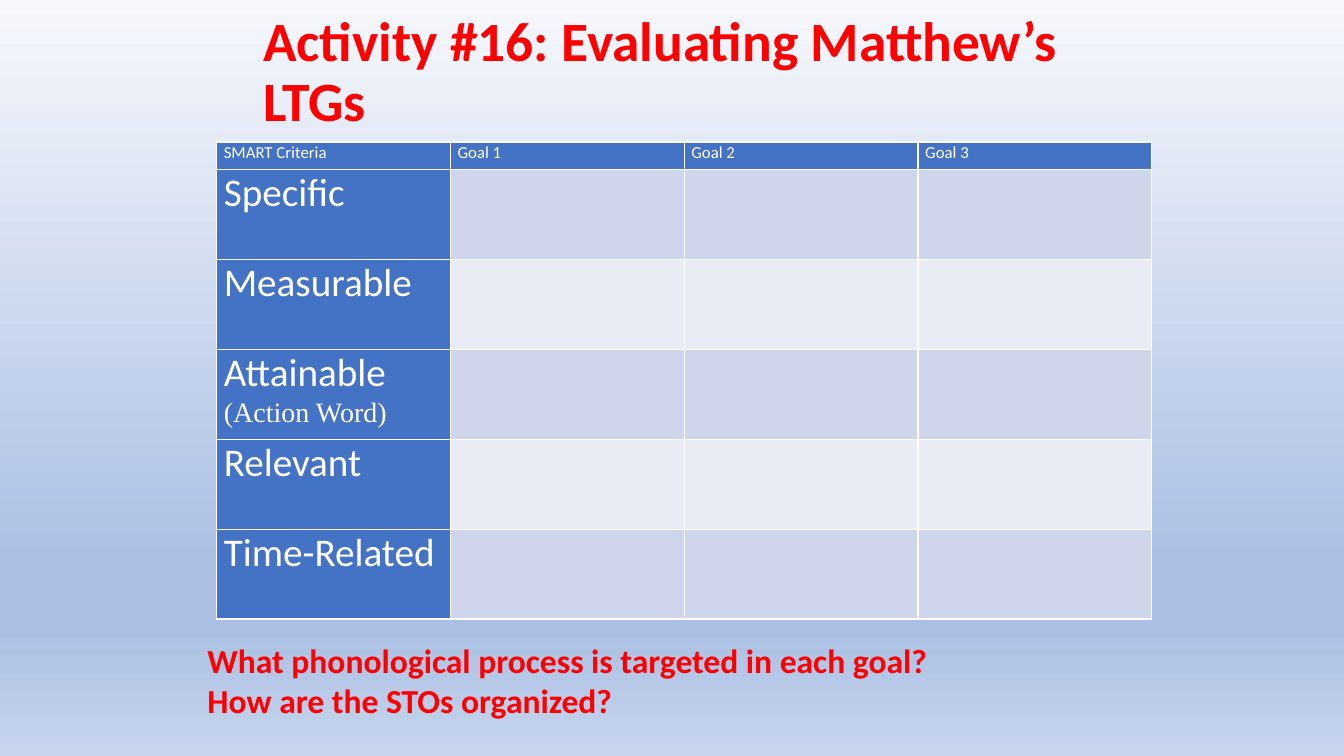
import copy

import lxml.etree
import pptx
import pptx.dml.color
import pptx.enum.text
import pptx.oxml.ns
import pptx.util

Cm = pptx.util.Cm
RGBColor = pptx.dml.color.RGBColor
RED = RGBColor(0xFF, 0x00, 0x00)
WHITE = RGBColor(0xFF, 0xFF, 0xFF)
BLUE = RGBColor(0x44, 0x72, 0xC4)
BANDS = [RGBColor(0xCF, 0xD5, 0xEA), RGBColor(0xE9, 0xEB, 0xF5)]
MIST = RGBColor(0xF6, 0xF8, 0xFC)
SKY = RGBColor(0xAB, 0xC0, 0xE4)
HAZE = RGBColor(0xC7, 0xD5, 0xED)
BACKGROUND_STOPS = [(0, MIST), (0.74, SKY), (0.83, SKY), (1, HAZE)]

TITLE_FORMAT = {"name": "Calibri", "size": pptx.util.Pt(39.6), "bold": True}
QUESTION_FORMAT = {"name": "Calibri", "size": pptx.util.Pt(24), "bold": True}
HEADER_FORMAT = {"name": "Calibri", "size": pptx.util.Pt(12), "bold": False}
CRITERION_FORMAT = {"name": "Calibri", "size": pptx.util.Pt(28), "bold": False}
HINT_FORMAT = {"name": "Times New Roman", "size": pptx.util.Pt(20), "bold": False}

GOALS = ["SMART Criteria", "Goal 1", "Goal 2", "Goal 3"]
CRITERIA = [
    ["Specific"],
    ["Measurable"],
    ["Attainable", "(Action Word)"],
    ["Relevant"],
    ["Time-Related"],
]
QUESTIONS = [
    "What phonological process is targeted in each goal?",
    "How are the STOs organized?",
]


def set_values(target, values):
    """Set each attribute of the target from a dict."""
    for name, value in values.items():
        setattr(target, name, value)


def write_lines(frame, lines, color):
    """Write one paragraph per (text, format) pair."""
    for index, (text, values) in enumerate(lines):
        para = frame.add_paragraph() if index else frame.paragraphs[0]
        para.alignment = pptx.enum.text.PP_ALIGN.LEFT
        span = para.add_run()
        span.text = text
        set_values(span.font, values)
        span.font.color.rgb = color


def paint_background(page):
    """Fill the page with the vertical gradient."""
    fill = page.background.fill
    fill.gradient()
    fill.gradient_angle = 270
    stop_list = page.element.xpath(".//a:gsLst")[0]
    while len(stop_list) < len(BACKGROUND_STOPS):
        stop_list.append(copy.deepcopy(stop_list[0]))
    for stop, (position, color) in zip(fill.gradient_stops, BACKGROUND_STOPS):
        stop.position = position
        stop.color.rgb = color


def add_title(page, left, top, width, height):
    """Place the title, lifted a little above the middle of its box."""
    title = page.shapes.title
    set_values(title, {"left": left, "top": top, "width": width, "height": height})
    frame = title.text_frame
    set_values(frame, {
        "word_wrap": True,
        "auto_size": pptx.enum.text.MSO_AUTO_SIZE.NONE,
        "vertical_anchor": pptx.enum.text.MSO_ANCHOR.MIDDLE,
        "margin_bottom": Cm(0.97),
    })
    write_lines(frame, [("Activity #16: Evaluating Matthew’s LTGs", TITLE_FORMAT)], RED)
    frame.paragraphs[0].line_spacing = 0.9


def style_cell(cell, color):
    """Give a cell its margins, fill and white borders."""
    set_values(cell, {
        "margin_left": Cm(0.18), "margin_right": Cm(0.18),
        "margin_top": 0, "margin_bottom": 0,
    })
    properties = cell._tc.get_or_add_tcPr()
    for side in ("a:lnL", "a:lnR", "a:lnT", "a:lnB"):
        line = lxml.etree.SubElement(
            properties, pptx.oxml.ns.qn(side), w=str(pptx.util.Pt(1)))
        paint = lxml.etree.SubElement(line, pptx.oxml.ns.qn("a:solidFill"))
        lxml.etree.SubElement(paint, pptx.oxml.ns.qn("a:srgbClr"), val=str(WHITE))
    cell.fill.solid()
    cell.fill.fore_color.rgb = color


def add_criteria_table(page, left, top, width, height):
    """Place the grid of SMART criteria against goals."""
    table = page.shapes.add_table(
        len(CRITERIA) + 1, len(GOALS), left, top, width, height).table
    header_height = Cm(0.69)
    for column in table.columns:
        column.width = width // len(GOALS)
    for index, row in enumerate(table.rows):
        row.height = (height - header_height) // len(CRITERIA) if index else header_height
        for position, cell in enumerate(row.cells):
            is_heading = index == 0 or position == 0
            style_cell(cell, BLUE if is_heading else BANDS[(index - 1) % 2])
    for position, goal in enumerate(GOALS):
        write_lines(table.cell(0, position).text_frame, [(goal, HEADER_FORMAT)], WHITE)
    for index, words in enumerate(CRITERIA, 1):
        lines = list(zip(words, [CRITERION_FORMAT, HINT_FORMAT]))
        write_lines(table.cell(index, 0).text_frame, lines, WHITE)


def add_questions(page, left, top, width, height):
    """Place the closing questions below the table."""
    frame = page.shapes.add_textbox(left, top, width, height).text_frame
    frame.word_wrap = False
    frame.auto_size = pptx.enum.text.MSO_AUTO_SIZE.SHAPE_TO_FIT_TEXT
    write_lines(frame, [(text, QUESTION_FORMAT) for text in QUESTIONS], RED)


def main():
    """Build the slide and save it."""
    deck = pptx.Presentation()
    deck.slide_width = Cm(33.87)
    deck.slide_height = Cm(19.05)
    page = deck.slides.add_slide(deck.slide_layouts[5])
    paint_background(page)
    add_title(page, Cm(6.38), Cm(0.74), Cm(21.54), Cm(3.07))
    add_criteria_table(page, Cm(5.46), Cm(3.58), Cm(23.57), Cm(12.02))
    add_questions(page, Cm(4.98), Cm(16), Cm(19.23), Cm(2.31))
    deck.save("out.pptx")


if __name__ == "__main__":
    main()
